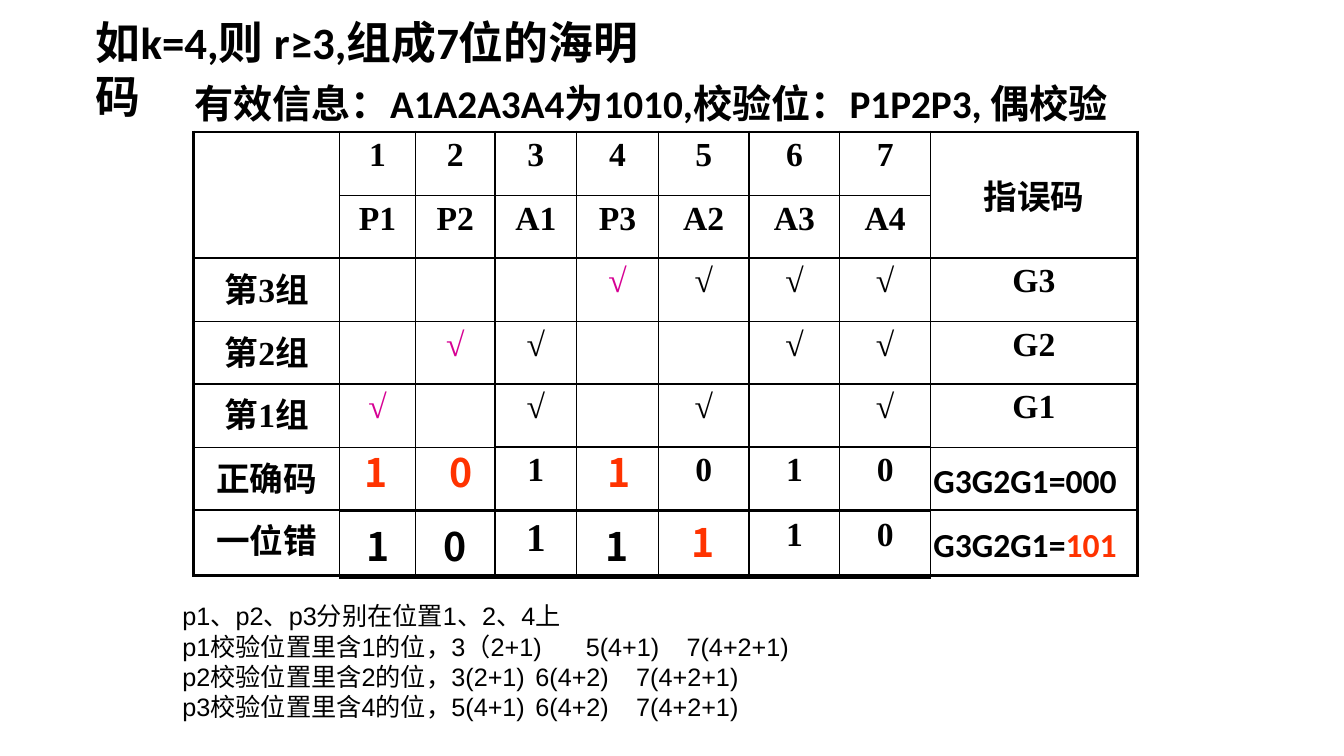
from lxml.etree import SubElement
from pptx import Presentation
from pptx.dml.color import RGBColor
from pptx.enum.shapes import MSO_SHAPE
from pptx.enum.text import MSO_ANCHOR, MSO_AUTO_SIZE, PP_ALIGN
from pptx.oxml.ns import qn
from pptx.util import Inches, Pt

COLORS = {"ink": "000000", "parity": "D60093", "alert": "FF3300", "paper": "FFFFFF"}
STYLES = {
    "title": {"name": "Calibri", "size": Pt(32), "bold": True},
    "subtitle": {"name": "Calibri", "size": Pt(28), "bold": True},
    "syndrome": {"name": "Calibri", "size": Pt(24), "bold": True},
    "cell": {"name": "Times New Roman", "size": Pt(24), "bold": True},
    "large cell": {"name": "Times New Roman", "size": Pt(28), "bold": True},
    "digit": {"name": "Noto Sans CJK SC", "size": Pt(28), "bold": True},
    "note": {"name": "Arial", "size": Pt(18), "bold": False},
}
BIT_WIDTHS = [0.75, 0.79, 0.81, 0.81, 0.9, 0.9, 0.9]
BIT_NAMES = ["P1", "P2", "A1", "P3", "A2", "A3", "A4"]
GROUPS = {3: [4, 5, 6, 7], 2: [2, 3, 6, 7], 1: [1, 3, 5, 7]}
THIN, THICK = 1, 2.25
NOTES = [
    ("p1、p2、p3分别在位置1、2、4上", []),
    ("p1校验位置里含1的位，3（2+1)\t5(4+1)\t7(4+2+1)", [4.2, 5.2]),
    ("p2校验位置里含2的位，3(2+1)\t6(4+2)\t7(4+2+1)", [3.91, 4.85]),
    ("p3校验位置里含4的位，5(4+1)\t6(4+2)\t7(4+2+1)", [3.79, 4.64]),
]


def write(paragraph, text, style, color="ink"):
    """Append a formatted run to a paragraph."""
    run = paragraph.add_run()
    run.text = text
    for attribute, value in STYLES[style].items():
        setattr(run.font, attribute, value)
    run.font.color.rgb = RGBColor.from_string(COLORS[color])


def place(shape, left, top, width, height):
    """Move and size a shape, in inches."""
    for side, value in zip(("left", "top", "width", "height"), (left, top, width, height)):
        setattr(shape, side, Inches(value))


def prepare_frame(frame, wrap=True):
    """Set a top-anchored frame of fixed size and return its first paragraph."""
    settings = {"word_wrap": wrap, "auto_size": MSO_AUTO_SIZE.NONE,
                "vertical_anchor": MSO_ANCHOR.TOP}
    for attribute, value in settings.items():
        setattr(frame, attribute, value)
    first = frame.paragraphs[0]
    first.alignment = PP_ALIGN.LEFT
    return first


def add_label(slide, position, parts, style, wrap=False):
    """Add a text box made of (text, colour) parts."""
    box = slide.shapes.add_textbox(*map(Inches, position))
    line = prepare_frame(box.text_frame, wrap)
    for text, color in parts:
        write(line, text, style, color)


def add_patch(slide, position, digit):
    """Add a filled rectangle that shows the flipped bit."""
    patch = slide.shapes.add_shape(MSO_SHAPE.RECTANGLE, *map(Inches, position))
    patch.shadow.inherit = False
    patch.fill.solid()
    patch.fill.fore_color.rgb = RGBColor.from_string(COLORS["paper"])
    patch.line.fill.background()
    write(prepare_frame(patch.text_frame, False), digit, "digit", "alert")


def set_borders(cell, widths):
    """Draw the left, right, top and bottom borders of a cell."""
    properties = cell._tc.get_or_add_tcPr()
    for side, width in zip("LRTB", widths):
        line = SubElement(properties, qn(f"a:ln{side}"), w=str(int(Pt(width))))
        fill = SubElement(line, qn("a:solidFill"))
        SubElement(fill, qn("a:srgbClr"), val=COLORS["ink"])


def add_grid(slide, left, top, widths, heights, rows, outer):
    """Add a table of (text, style, colour) cells with the given outer border widths."""
    size = sum(widths), sum(heights)
    frame = slide.shapes.add_table(len(heights), len(widths), *map(Inches, (left, top, *size)))
    table = frame.table
    table.first_row = table.horz_banding = False
    for column, width in zip(table.columns, widths):
        column.width = Inches(width)
    last_row, last_column = len(heights) - 1, len(widths) - 1
    for r, (height, row) in enumerate(zip(heights, rows)):
        table.rows[r].height = Inches(height)
        for c, (text, style, color) in enumerate(row):
            cell = table.cell(r, c)
            at_edge = c == 0, c == last_column, r == 0, r == last_row
            set_borders(cell, [o if edge else THIN for o, edge in zip(outer, at_edge)])
            cell.fill.background()
            if text:
                line = cell.text_frame.paragraphs[0]
                line.alignment = PP_ALIGN.CENTER
                write(line, text, style, color)
    return table


def plain(texts):
    """Give texts the usual cell style."""
    return [(text, "cell", "ink") for text in texts]


def group_row(number, members):
    """Build the row of ticks of one check group."""
    ticks = [("√" if position in members else "", "cell",
              "parity" if name.startswith("P") else "ink")
             for position, name in enumerate(BIT_NAMES, 1)]
    return plain([f"第{number}组"]) + ticks + plain([f"G{number}"])


def add_code_tables(slide):
    """Add the check table and the tables of the correct and faulty codes."""
    blank = [""] * len(BIT_NAMES)
    rows = [plain(["", *"1234567", "指误码"]), plain(["", *BIT_NAMES, ""])]
    rows += [group_row(number, members) for number, members in GROUPS.items()]
    rows += [plain([name, *blank, ""]) for name in ("正确码", "一位错")]
    heights = [0.63, 0.62, 0.63, 0.62, 0.63, 0.62, 0.65]
    checks = add_grid(slide, 1.92, 1.31, [1.45, *BIT_WIDTHS, 2.05], heights, rows, [THICK] * 4)
    for column in (0, 8):
        checks.cell(0, column).merge(checks.cell(1, column))
    checks.cell(0, 8).vertical_anchor = MSO_ANCHOR.MIDDLE

    styles = ["digit", "digit", "large cell", "digit", "cell", "cell", "cell"]
    faulty = [(bit, style, "ink") for bit, style in zip(["1", "0", "1", "1", "", "1", "0"], styles)]
    add_grid(slide, 3.37, 5.07, BIT_WIDTHS, [0.65], [faulty], [THIN, THIN, THIN, THICK])
    correct = plain(["1", "", "0", "1", "0"])
    add_grid(slide, 4.91, 4.43, BIT_WIDTHS[2:], [0.63], [correct], [THIN] * 4)


def fill_notes(body):
    """Fill the body placeholder with the explanation lines."""
    place(body, 1.71, 5.91, 9.62, 1.43)
    frame = body.text_frame
    prepare_frame(frame)
    for index, (text, stops) in enumerate(NOTES):
        line = frame.add_paragraph() if index else frame.paragraphs[0]
        line.space_before = Pt(0)
        line.line_spacing = 1.0
        properties = line._p.get_or_add_pPr()
        properties.set("marL", "0")
        properties.set("indent", "0")
        SubElement(properties, qn("a:buNone"))
        if stops:
            tabs = SubElement(properties, qn("a:tabLst"))
            for stop in stops:
                SubElement(tabs, qn("a:tab"), pos=str(int(Inches(stop))), algn="l")
        write(line, text, "note")


def main():
    """Build the Hamming code slide."""
    deck = Presentation()
    deck.slide_width, deck.slide_height = Inches(13.33), Inches(7.5)
    slide = deck.slides.add_slide(deck.slide_layouts[1])
    title, body = slide.placeholders
    place(title, 0.85, 0.1, 6.02, 0.64)
    write(prepare_frame(title.text_frame), "如k=4,则 r≥3,组成7位的海明码", "title")
    fill_notes(body)
    add_label(slide, (1.83, 0.74, 10.27, 0.57),
              [("有效信息：A1A2A3A4为1010,校验位：P1P2P3, 偶校验", "ink")], "subtitle", True)
    add_code_tables(slide)
    for left, digit in ((3.52, "1"), (4.36, "0"), (5.93, "1")):
        add_label(slide, (left, 4.4, 0.4, 0.57), [(digit, "alert")], "digit")
    add_label(slide, (9.16, 4.51, 2.02, 0.5), [("G3G2G1=000", "ink")], "syndrome")
    add_label(slide, (9.16, 5.15, 2.02, 0.5), [("G3G2G1=", "ink"), ("101", "alert")], "syndrome")
    add_patch(slide, (6.76, 5.09, 0.4, 0.57), "1")
    deck.save("out.pptx")


if __name__ == "__main__":
    main()
